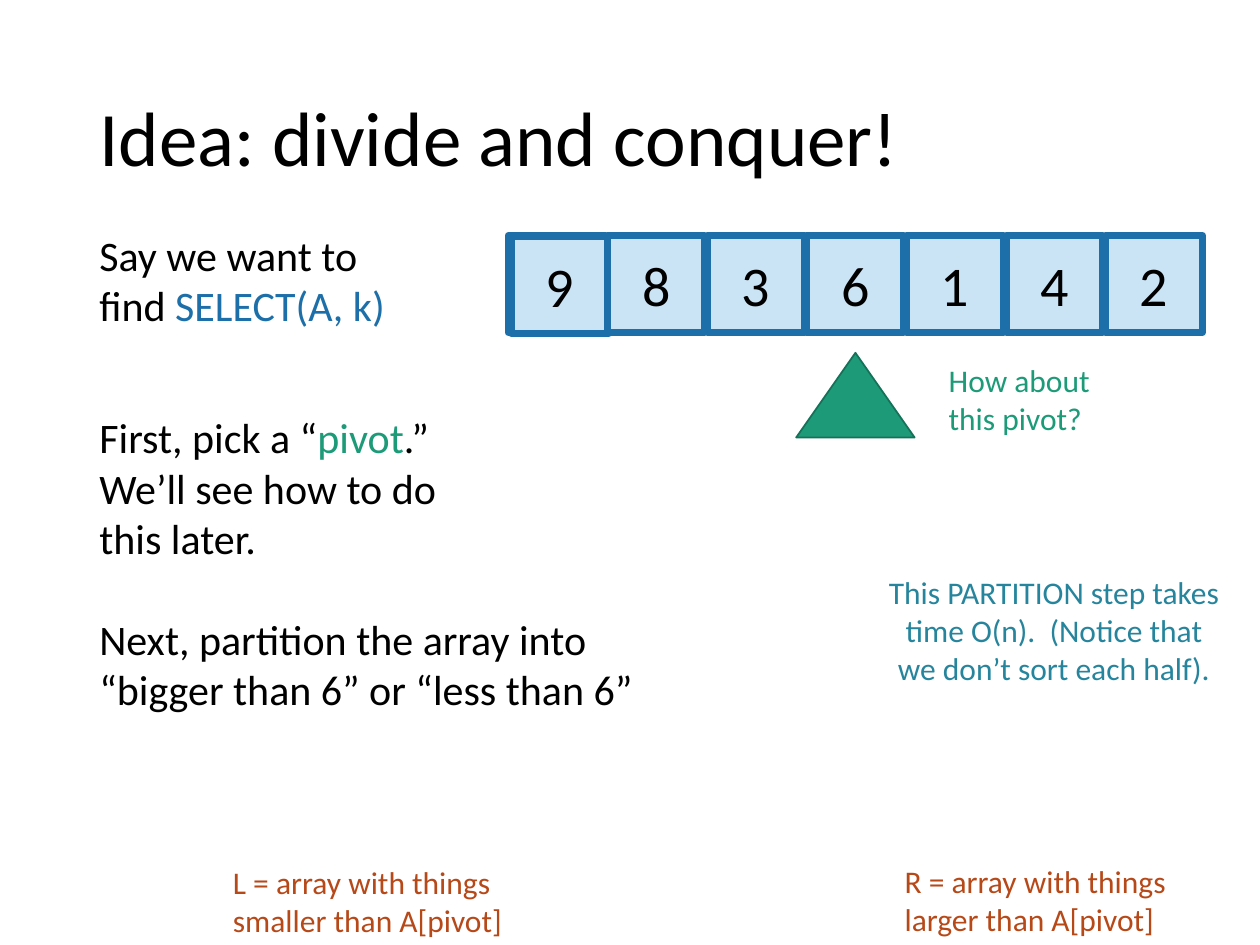
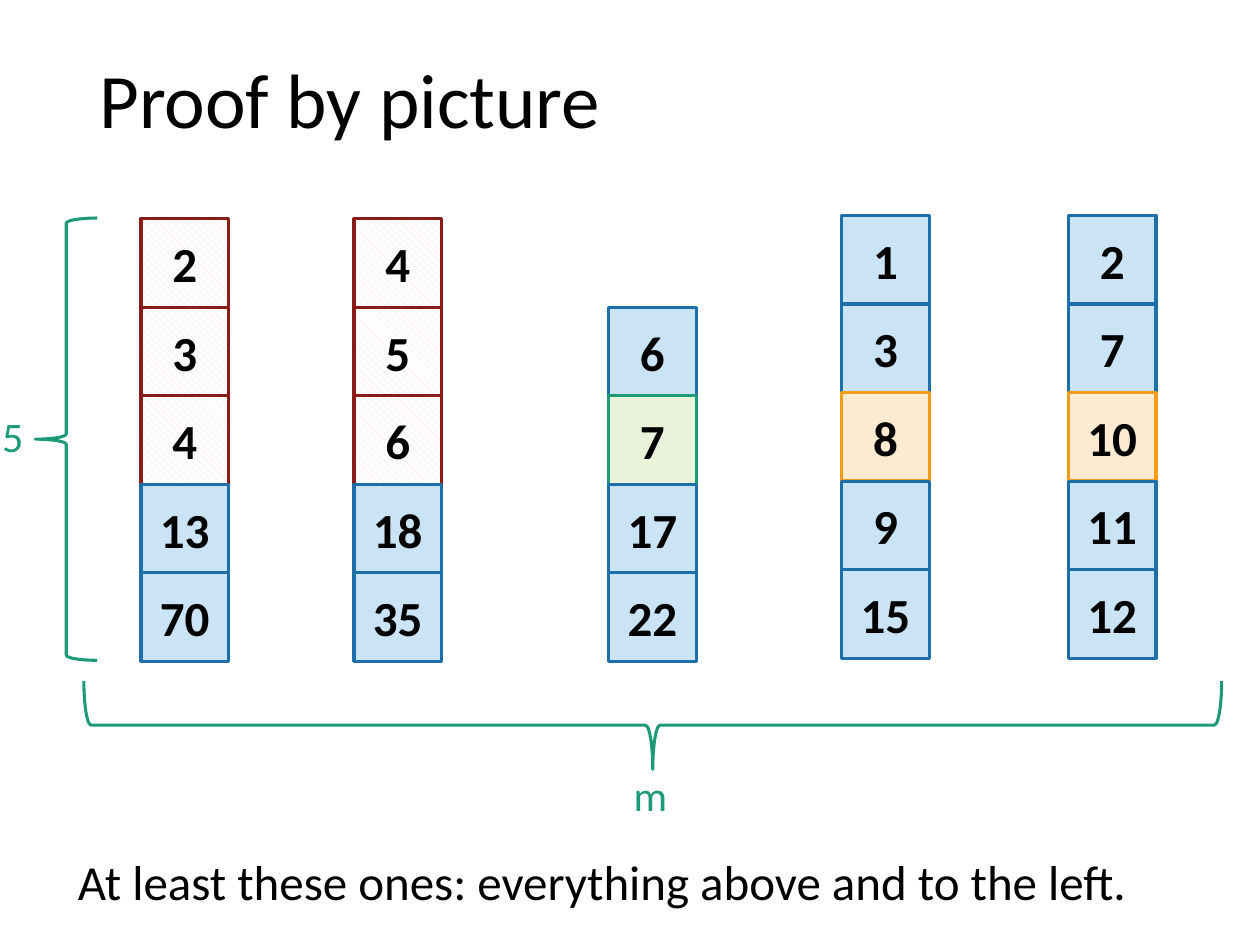
from dataclasses import dataclass
from typing import NamedTuple

from pptx import Presentation
from pptx.dml.color import RGBColor
from pptx.enum.dml import MSO_PATTERN
from pptx.enum.shapes import MSO_SHAPE
from pptx.enum.text import MSO_ANCHOR, MSO_AUTO_SIZE, PP_ALIGN
from pptx.util import Pt


@dataclass(frozen=True)
class Theme:
    font: str = "Calibri"
    ink: str = "000000"
    blue: str = "1D6FA9"
    green: str = "1D9A78"
    dark_green: str = "157259"
    teal: str = "26859D"
    rust: str = "B74919"
    pale_blue: str = "CAE4F6"
    title_size: float = 44
    entry_size: float = 32
    large_size: float = 28
    body_size: float = 24
    note_size: float = 18
    array_line: float = 4
    thin_line: float = 1.75


THEME = Theme()


class Box(NamedTuple):
    left: float
    top: float
    width: float
    height: float

    def in_points(self) -> list:
        return [Pt(length) for length in self]


class Run(NamedTuple):
    text: str
    color: str


class Note(NamedTuple):
    box: Box
    paragraphs: list
    size: float
    color: str = THEME.ink
    align: PP_ALIGN = PP_ALIGN.LEFT


class CellStyle(NamedTuple):
    fill: str
    line: str
    hatch: str = ""


class Group(NamedTuple):
    left: float
    top: float
    values: list
    styles: list


PLAIN = CellStyle(THEME.pale_blue, THEME.blue)
SMALLER = CellStyle("FFFFFF", "8B1B17", hatch="F8D8CA")
MEDIAN = CellStyle("FCEBD1", "F19D19")
PIVOT = CellStyle("E8F3DA", THEME.green)

ARRAY = [9, 8, 3, 6, 1, 4, 2]
ARRAY_LEFT, ARRAY_TOP = 290.4, 134.6
ARRAY_CELL, ARRAY_STEP = 55.4, 56.9

GROUP_CELL, GROUP_STEP = 50, 50.6
LEFT_STYLES = [SMALLER] * 3 + [PLAIN] * 2
RIGHT_STYLES = [PLAIN] * 2 + [MEDIAN] + [PLAIN] * 2
GROUPS = [
    Group(80.6, 125, [2, 3, 4, 13, 70], LEFT_STYLES),
    Group(202.3, 125, [4, 5, 6, 18, 35], LEFT_STYLES),
    Group(347.8, 125 + GROUP_STEP, [6, 7, 17, 22], [PLAIN, PIVOT, PLAIN, PLAIN]),
    Group(481, 123.1, [1, 3, 8, 9, 15], RIGHT_STYLES),
    Group(610.6, 123.1, [2, 7, 10, 11, 12], RIGHT_STYLES),
]

IDEA_NOTES = [
    Note(Box(49.7, 127.4, 190, 65.5),
         [["Say we want to find ", Run("SELECT(A, k)", THEME.blue)]], THEME.body_size),
    Note(Box(49.7, 231.8, 214, 94.3),
         [["First, pick a “", Run("pivot", THEME.green), ".”"],
          ["We’ll see how to do this later."]], THEME.body_size),
    Note(Box(49.7, 347, 323.3, 65.5),
         [["Next, partition the array into “bigger than 6” or “less than 6”"]],
         THEME.body_size),
    Note(Box(535, 203, 121.7, 51),
         [["How about this pivot?"]], THEME.note_size, THEME.green),
    Note(Box(126, 489.6, 209.5, 51),
         [["L = array with things smaller than A[pivot]"]], THEME.note_size, THEME.rust),
    Note(Box(509.8, 488.9, 209.5, 51),
         [["R = array with things larger than A[pivot]"]], THEME.note_size, THEME.rust),
    Note(Box(499.7, 324, 205.2, 72.7),
         [["This PARTITION step takes time O(n).  (Notice that we don’t sort each half)."]],
         THEME.note_size, THEME.teal, PP_ALIGN.CENTER),
]

PROOF_NOTES = [
    Note(Box(-5.8, 231.1, 54.7, 36), [["5"]], THEME.body_size, THEME.green),
    Note(Box(355, 436.3, 54.7, 36), [["m"]], THEME.body_size, THEME.green),
    Note(Box(37.4, 483.1, 623.5, 41),
         [["At least these ones: everything above and to the left."]], THEME.large_size),
]


def rgb(color: str) -> RGBColor:
    return RGBColor.from_string(color)


def write(frame, paragraphs: list, *, size: float, color: str = THEME.ink,
          align: PP_ALIGN = PP_ALIGN.LEFT, anchor: MSO_ANCHOR = MSO_ANCHOR.TOP,
          bold: bool = False, spacing: float = 1.0) -> None:
    frame.word_wrap = True
    frame.vertical_anchor = anchor
    for index, parts in enumerate(paragraphs):
        paragraph = frame.add_paragraph() if index else frame.paragraphs[0]
        paragraph.alignment = align
        paragraph.line_spacing = spacing
        for part in parts:
            piece = part if isinstance(part, Run) else Run(part, color)
            run = paragraph.add_run()
            run.text = piece.text
            run.font.name = THEME.font
            run.font.size = Pt(size)
            run.font.bold = bold
            run.font.color.rgb = rgb(piece.color)


def add_title(slide, text: str, height: float) -> None:
    title = slide.shapes.add_textbox(*Box(49.7, 28.8, 620.6, height).in_points())
    write(title.text_frame, [[text]], size=THEME.title_size,
          anchor=MSO_ANCHOR.MIDDLE, spacing=0.9)


def add_note(slide, note: Note) -> None:
    frame = slide.shapes.add_textbox(*note.box.in_points()).text_frame
    write(frame, note.paragraphs, size=note.size, color=note.color, align=note.align)
    frame.auto_size = MSO_AUTO_SIZE.SHAPE_TO_FIT_TEXT


def add_outline(slide, kind: MSO_SHAPE, box: Box, line: str, width: float):
    outline = slide.shapes.add_shape(kind, *box.in_points())
    outline.shadow.inherit = False
    outline.fill.background()
    outline.line.color.rgb = rgb(line)
    outline.line.width = Pt(width)
    return outline


def add_cell(slide, box: Box, style: CellStyle, width: float):
    cell = add_outline(slide, MSO_SHAPE.RECTANGLE, box, style.line, width)
    if style.hatch:
        cell.fill.patterned()
        cell.fill.pattern = MSO_PATTERN.WIDE_DOWNWARD_DIAGONAL
        cell.fill.fore_color.rgb = rgb(style.hatch)
        cell.fill.back_color.rgb = rgb(style.fill)
    else:
        cell.fill.solid()
        cell.fill.fore_color.rgb = rgb(style.fill)
    return cell


def add_value(slide, box: Box, value: int, style: CellStyle, *, width: float,
              size: float, bold: bool = False) -> None:
    cell = add_cell(slide, box, style, width)
    write(cell.text_frame, [[str(value)]], size=size, bold=bold,
          align=PP_ALIGN.CENTER, anchor=MSO_ANCHOR.MIDDLE)


def build_idea(slide) -> None:
    add_title(slide, "Idea: divide and conquer!", 104.4)
    first = Box(ARRAY_LEFT, ARRAY_TOP, ARRAY_CELL, ARRAY_CELL)
    add_cell(slide, first, PLAIN, THEME.array_line)
    for index, value in enumerate(ARRAY):
        if index:
            box = first._replace(left=ARRAY_LEFT + index * ARRAY_STEP)
        else:
            box = first._replace(left=ARRAY_LEFT + 2, top=ARRAY_TOP + 0.8)
        add_value(slide, box, value, PLAIN, width=THEME.array_line, size=THEME.entry_size)
    pivot_marker = add_outline(slide, MSO_SHAPE.ISOSCELES_TRIANGLE,
                               Box(455, 201.6, 67.7, 48.4), THEME.dark_green, 1)
    pivot_marker.fill.solid()
    pivot_marker.fill.fore_color.rgb = rgb(THEME.green)
    for note in IDEA_NOTES:
        add_note(slide, note)


def build_proof(slide) -> None:
    add_title(slide, "Proof by picture", 60.5)
    for group in GROUPS:
        for row, (value, style) in enumerate(zip(group.values, group.styles)):
            box = Box(group.left, group.top + row * GROUP_STEP, GROUP_CELL, GROUP_STEP)
            add_value(slide, box, value, style, width=THEME.thin_line,
                      size=THEME.large_size, bold=True)
    group_count = add_outline(slide, MSO_SHAPE.RIGHT_BRACE, Box(347.8, 89.3, 50.4, 650.2),
                              THEME.green, THEME.thin_line)
    group_count.rotation = 90
    add_outline(slide, MSO_SHAPE.LEFT_BRACE, Box(20.2, 124.6, 35.3, 252.7),
                THEME.green, THEME.thin_line)
    for note in PROOF_NOTES:
        add_note(slide, note)


def main() -> None:
    deck = Presentation()
    deck.slide_width, deck.slide_height = Pt(720), Pt(540)
    for build in (build_idea, build_proof):
        build(deck.slides.add_slide(deck.slide_layouts[6]))
    deck.save("out.pptx")


if __name__ == "__main__":
    main()
